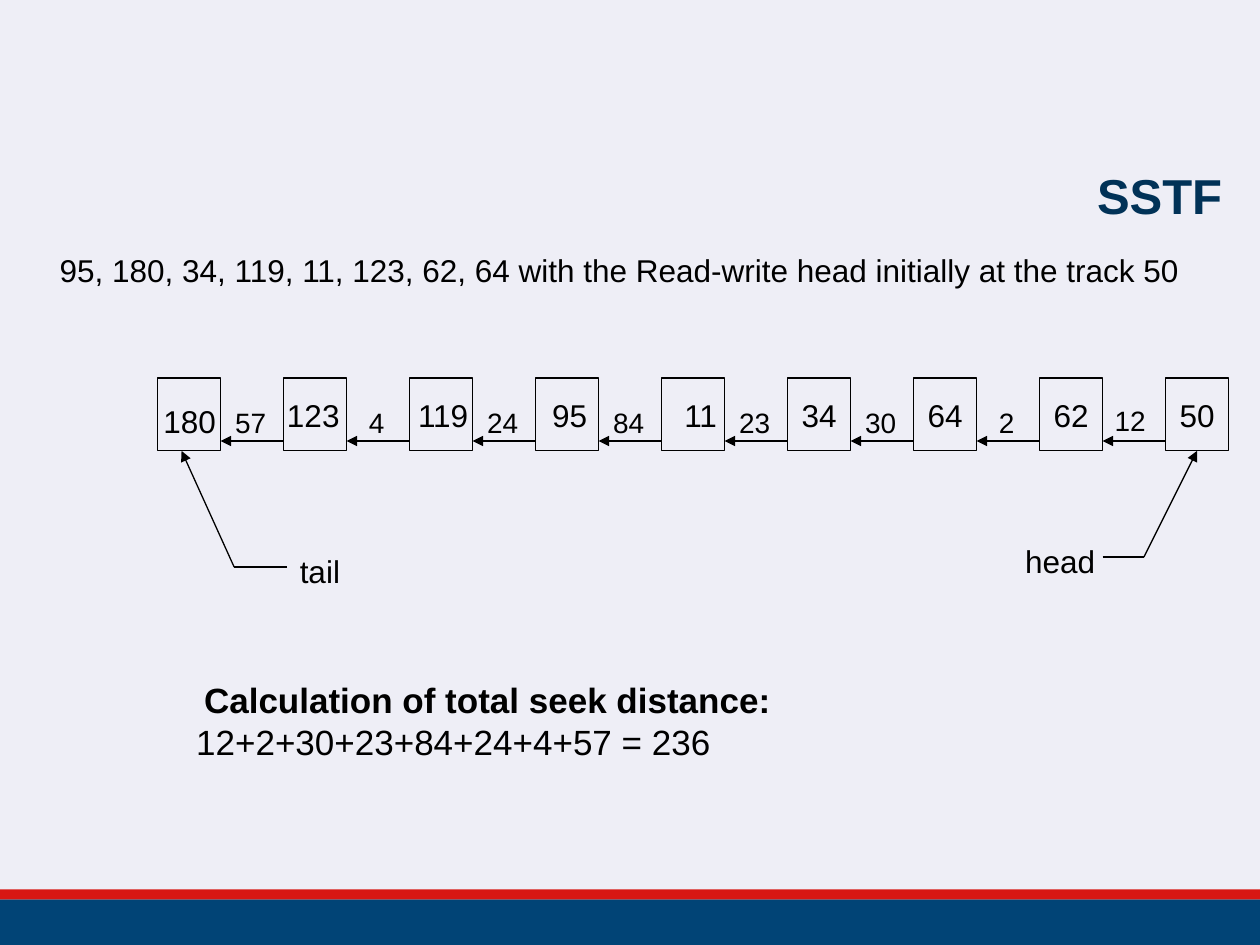
from dataclasses import dataclass

from lxml.etree import SubElement
from pptx import Presentation
from pptx.dml.color import RGBColor
from pptx.enum.shapes import MSO_CONNECTOR, MSO_SHAPE
from pptx.enum.text import MSO_ANCHOR, PP_ALIGN
from pptx.oxml.ns import qn
from pptx.util import Cm, Pt


@dataclass(frozen=True)
class Theme:
    font: str = "Arial"
    background: RGBColor = RGBColor(0xEE, 0xEE, 0xF6)
    navy: RGBColor = RGBColor(0x01, 0x44, 0x76)
    red: RGBColor = RGBColor(0xD8, 0x17, 0x14)
    title: RGBColor = RGBColor(0x01, 0x32, 0x57)
    ink: RGBColor = RGBColor(0, 0, 0)
    title_size: int = 28
    sum_size: int = 20
    body_size: int = 18
    step_size: int = 16
    line: float = 0.75


THEME = Theme()

TRACKS = [180, 123, 119, 95, 11, 34, 64, 62, 50]
TRACK_NUDGES = {180: (0.01, 0.13), 123: (-0.04, 0), 119: (0.04, 0), 95: (0.05, 0), 11: (0.15, 0)}
STEP_NUDGES = {12: (-0.05, -0.05)}


def format_frame(frame, size, color=THEME.ink, align=PP_ALIGN.CENTER, bold=False):
    frame.vertical_anchor = MSO_ANCHOR.MIDDLE
    for para in frame.paragraphs:
        para.alignment = align
        for span in para.runs:
            span.font.name = THEME.font
            span.font.size = Pt(size)
            span.font.bold = bold
            span.font.color.rgb = color


def add_label(page, text, box, size, wrap=False):
    left, top, width, height = box
    label = page.shapes.add_textbox(Cm(left), Cm(top), Cm(width), Cm(height))
    frame = label.text_frame
    frame.word_wrap = wrap
    frame.margin_left = frame.margin_right = Cm(0)
    frame.text = text
    format_frame(frame, size)
    return frame


def add_rectangle(page, box, fill=None):
    left, top, width, height = box
    rectangle = page.shapes.add_shape(
        MSO_SHAPE.RECTANGLE, Cm(left), Cm(top), Cm(width), Cm(height))
    rectangle.shadow.inherit = False
    if fill is None:
        rectangle.fill.background()
        rectangle.line.color.rgb = THEME.ink
        rectangle.line.width = Pt(THEME.line)
    else:
        rectangle.fill.solid()
        rectangle.fill.fore_color.rgb = fill
        rectangle.line.fill.background()
    return rectangle


def add_line(page, start, end, arrow=False):
    connector = page.shapes.add_connector(
        MSO_CONNECTOR.STRAIGHT, Cm(start[0]), Cm(start[1]), Cm(end[0]), Cm(end[1]))
    connector.line.color.rgb = THEME.ink
    connector.line.width = Pt(THEME.line)
    if arrow:
        SubElement(connector.line._get_or_add_ln(), qn("a:tailEnd"), type="triangle")
    SubElement(connector._element.spPr, qn("a:effectLst"))


def place_title(page, text, box):
    title = page.shapes.title
    title.left, title.top, title.width, title.height = (Cm(length) for length in box)
    title.text_frame.text = text
    format_frame(title.text_frame, THEME.title_size, THEME.title, PP_ALIGN.RIGHT, True)


def place_footer(page, box):
    left, top, width, height = box
    stripe = 0.2
    add_rectangle(page, (left, top + stripe, width, height - stripe), THEME.navy)
    add_rectangle(page, (left, top, width, stripe), THEME.red)


def place_cell(page, track, box):
    cell = add_rectangle(page, box)
    frame = cell.text_frame
    shift_x, shift_y = TRACK_NUDGES.get(track, (0, 0))
    frame.word_wrap = False
    frame.margin_left, frame.margin_right = Cm(shift_x), Cm(-shift_x)
    frame.margin_top, frame.margin_bottom = Cm(shift_y), Cm(-shift_y)
    frame.text = str(track)
    format_frame(frame, THEME.body_size)


def place_chain(page, box):
    left, top, width, height = box
    cell_width = width / (2 * len(TRACKS) - 1)
    pitch = 2 * cell_width
    arrow_y = top + 1.27
    for index, track in enumerate(TRACKS):
        cell_left = left + index * pitch
        place_cell(page, track, (cell_left, top, cell_width, height))
        if index == len(TRACKS) - 1:
            break
        gap_left = cell_left + cell_width
        add_line(page, (gap_left + cell_width, arrow_y), (gap_left, arrow_y), arrow=True)
        step = abs(track - TRACKS[index + 1])
        shift_x, shift_y = STEP_NUDGES.get(step, (0, 0))
        add_label(page, str(step),
                  (gap_left - 0.03 + shift_x, top + 0.43 + shift_y, cell_width, 0.94),
                  THEME.step_size)


def place_pointer(page, text, box, start, elbow, tip):
    add_label(page, text, box, THEME.body_size)
    add_line(page, start, elbow)
    add_line(page, elbow, tip, arrow=True)


def place_calculation(page, box):
    frame = add_label(
        page, "Calculation of total seek distance:\n12+2+30+23+84+24+4+57 = 236",
        box, THEME.sum_size, wrap=True)
    heading = frame.paragraphs[0]
    heading._p.get_or_add_pPr().set("marL", str(Cm(1.37)))
    heading.runs[0].font.bold = True


def build_page(deck):
    page = deck.slides.add_slide(deck.slide_layouts[5])
    page.background.fill.solid()
    page.background.fill.fore_color.rgb = THEME.background
    place_footer(page, (0, 17.93, 25.4, 1.12))
    place_title(page, "SSTF", (0.69, 2.92, 24.2, 2))
    add_label(
        page,
        "95, 180, 34, 119, 11, 123, 62, 64 with the Read-write head initially at the track 50",
        (0.89, 4.93, 23.19, 1.02), THEME.body_size, wrap=True)
    place_chain(page, (3.18, 7.62, 21.59, 1.47))
    place_pointer(page, "head", (20.42, 10.8, 1.9, 1.02),
                  (22.23, 11.23), (23.06, 11.23), (24.13, 9.09))
    place_pointer(page, "tail", (5.79, 11, 1.32, 1.02),
                  (5.79, 11.43), (4.72, 11.43), (3.66, 9.09))
    place_calculation(page, (2.16, 13.54, 13.97, 1.96))


def main():
    deck = Presentation()
    deck.slide_width, deck.slide_height = Cm(25.4), Cm(19.05)
    build_page(deck)
    deck.save("out.pptx")


if __name__ == "__main__":
    main()
